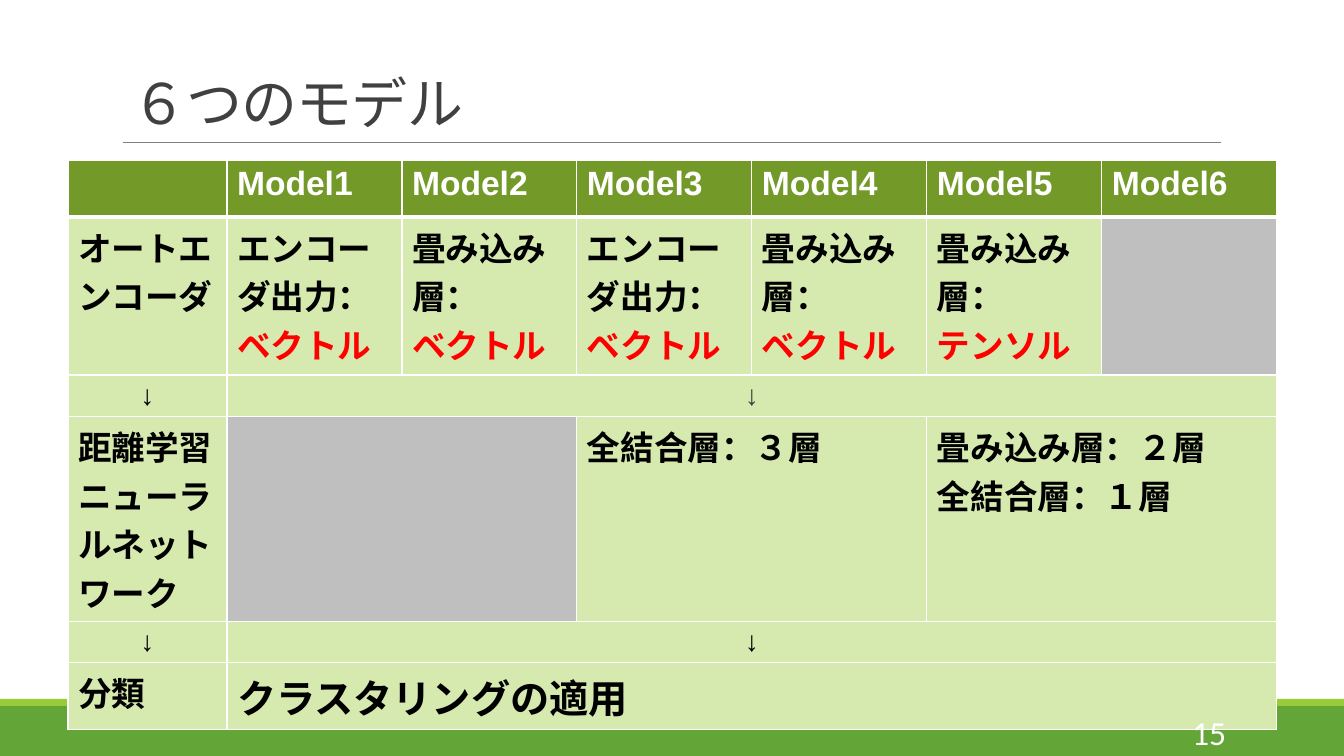
"""Build the slide that compares six models in one table."""
from lxml.etree import SubElement
from pptx import Presentation
from pptx.dml.color import RGBColor
from pptx.enum.shapes import MSO_CONNECTOR, MSO_SHAPE
from pptx.enum.text import MSO_ANCHOR, PP_ALIGN
from pptx.oxml.ns import qn
from pptx.util import Emu, Pt

TITLE = "６つのモデル"
PAGE = "15"
BLACK, WHITE, RED, DARK = "000000", "FFFFFF", "FF0000", "404040"
HEADER, PALE, GREY = "739A28", "D6EAAF", "BFBFBF"
BANDS = [("63A537", 706, 50), ("99CB38", 699, 7)]

ENCODER, CONVOLUTION = "エンコーダ出力：", "畳み込み層："
VECTOR, TENSOR = "ベクトル", "テンソル"
ARROW = dict(size=20, align=PP_ALIGN.CENTER)
AUTOENCODERS = [
    (ENCODER, VECTOR), (CONVOLUTION, VECTOR), (ENCODER, VECTOR),
    (CONVOLUTION, VECTOR), (CONVOLUTION, TENSOR),
]

# Each cell: columns spanned, fill, lines, text format
ROWS = [
    [(1, HEADER, [], {})]
    + [(1, HEADER, [f"Model{number}"], dict(colors=[WHITE])) for number in range(1, 7)],
    [(1, PALE, ["オートエンコーダ"], {})]
    + [(1, PALE, layers, dict(colors=[BLACK, RED])) for layers in AUTOENCODERS]
    + [(1, GREY, [], {})],
    [(1, PALE, ["↓"], ARROW), (6, PALE, ["↓"], dict(ARROW, colors=[DARK]))],
    [
        (1, PALE, ["距離学習ニューラルネットワーク"], {}),
        (2, GREY, [], {}),
        (2, PALE, ["全結合層：３層"], {}),
        (2, PALE, ["畳み込み層：２層", "全結合層：１層"], {}),
    ],
    [(1, PALE, ["↓"], ARROW), (6, PALE, ["↓"], ARROW)],
    [(1, PALE, ["分類"], {}), (6, PALE, ["クラスタリングの適用"], dict(size=28))],
]
ROW_HEIGHTS = [57, 158, 41, 205, 41, 67]
COLUMN_WIDTHS = [159] + [175] * 6


def px(length):
    return Emu(round(length * 914400 / 100.8))


def box(*lengths):
    return [px(length) for length in lengths]


def rgb(value):
    return RGBColor.from_string(value)


def write(frame, lines, size=24, font="Arial", colors=(BLACK,), bold=True,
          align=PP_ALIGN.LEFT, spacing=None, tracking=None):
    for index, line in enumerate(lines):
        paragraph = frame.add_paragraph() if index else frame.paragraphs[0]
        paragraph.alignment = align
        if spacing:
            paragraph.line_spacing = spacing
        run = paragraph.add_run()
        run.text = line
        run.font.size = Pt(size)
        run.font.name = font
        run.font.bold = bold
        run.font.color.rgb = rgb(colors[index % len(colors)])
        if tracking:
            run.font._element.set("spc", str(tracking))


def outline(cell, is_header, below_header):
    properties = cell._tc.get_or_add_tcPr()
    points = dict(L=1, R=1, T=3 if below_header else 1, B=3 if is_header else 1)
    for side, width in points.items():
        edge = SubElement(properties, qn(f"a:ln{side}"), w=str(Pt(width)))
        SubElement(SubElement(edge, qn("a:solidFill")), qn("a:srgbClr"), val=WHITE)


def add_models(slide):
    frame = slide.shapes.add_table(
        len(ROWS), len(COLUMN_WIDTHS),
        *box(68, 160, sum(COLUMN_WIDTHS), sum(ROW_HEIGHTS)))
    models = frame.table
    models.horz_banding = False
    for column, width in zip(models.columns, COLUMN_WIDTHS):
        column.width = px(width)
    for row, height in zip(models.rows, ROW_HEIGHTS):
        row.height = px(height)
    for top, row in enumerate(ROWS):
        left = 0
        for span, fill, lines, style in row:
            for column in range(left, left + span):
                cell = models.cell(top, column)
                outline(cell, top == 0, top == 1)
                cell.fill.solid()
                cell.fill.fore_color.rgb = rgb(fill)
            first = models.cell(top, left)
            if span > 1:
                first.merge(models.cell(top, left + span - 1))
            write(first.text_frame, lines, **style)
            left += span


def main():
    deck = Presentation()
    deck.slide_width, deck.slide_height = box(1344, 756)
    slide = deck.slides.add_slide(deck.slide_layouts[5])

    for color, top, height in BANDS:
        band = slide.shapes.add_shape(MSO_SHAPE.RECTANGLE, *box(0, top, 1344, height))
        band.shadow.inherit = False
        band.fill.solid()
        band.fill.fore_color.rgb = rgb(color)
        band.line.fill.background()

    rule = slide.shapes.add_connector(MSO_CONNECTOR.STRAIGHT, *box(123, 142, 1221, 142))
    rule.line.color.rgb = rgb("808080")
    rule.line.width = Pt(0.5)
    SubElement(rule._element.spPr, qn("a:effectLst"))

    title = slide.shapes.title
    title.left, title.top, title.width, title.height = box(121, 31, 1109, 110)
    title.text_frame.vertical_anchor = MSO_ANCHOR.BOTTOM
    write(title.text_frame, [TITLE], size=40, font="Calibri", colors=[DARK],
          bold=False, spacing=0.85, tracking=-50)

    add_models(slide)

    page = slide.shapes.add_textbox(*box(1092, 712, 144, 40)).text_frame
    page.word_wrap = True
    page.vertical_anchor = MSO_ANCHOR.MIDDLE
    write(page, [PAGE], font="Calibri", colors=[WHITE], bold=False, align=PP_ALIGN.RIGHT)

    deck.save("out.pptx")


if __name__ == "__main__":
    main()
